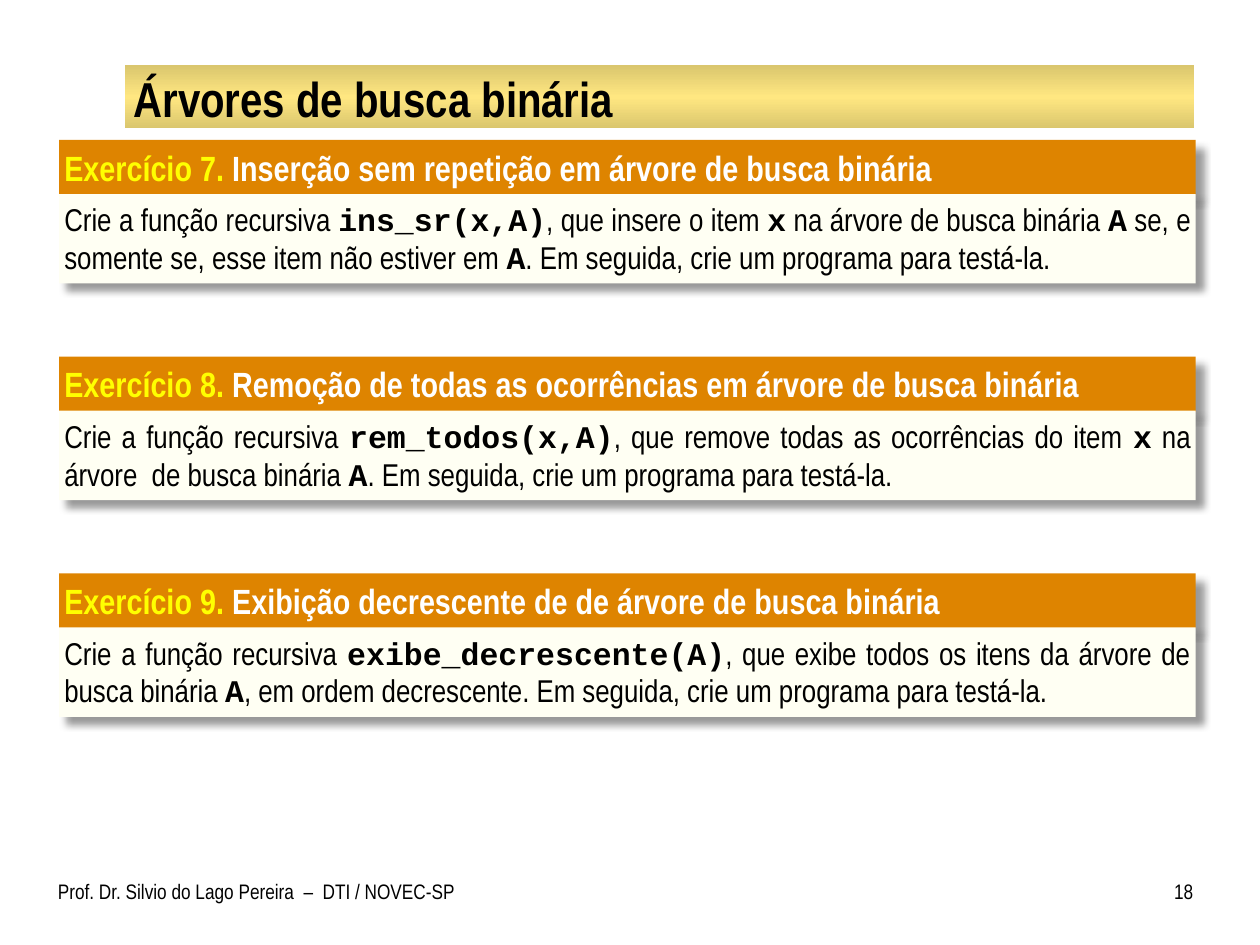
from copy import deepcopy

from lxml import etree
from pptx import Presentation
from pptx.dml.color import RGBColor
from pptx.enum.shapes import MSO_SHAPE
from pptx.enum.text import MSO_ANCHOR, MSO_AUTO_SIZE, PP_ALIGN
from pptx.oxml.ns import qn
from pptx.util import Inches, Pt

RECTANGLE = MSO_SHAPE.RECTANGLE
MIDDLE, TOP = MSO_ANCHOR.MIDDLE, MSO_ANCHOR.TOP
LEFT, RIGHT, JUSTIFY = PP_ALIGN.LEFT, PP_ALIGN.RIGHT, PP_ALIGN.JUSTIFY
GROW, FIXED = MSO_AUTO_SIZE.SHAPE_TO_FIT_TEXT, MSO_AUTO_SIZE.NONE
TITLE_ONLY = 5

COLORS = {
    "black": "000000",
    "white": "FFFFFF",
    "label": "FFFF00",
    "heading": "DE8400",
    "statement": "FFFFF3",
    "bar_edge": "DAC66E",
    "bar_middle": "FFE781",
}
TEXT_FONT, CODE_FONT = "Arial Narrow", "Courier New"

# Code is set between backticks.
EXERCISES = [
    ("Exercício 7.", " Inserção sem repetição em árvore de busca binária",
     "Crie a função recursiva `ins_sr(x,A)`, que insere o item `x` na árvore de "
     "busca binária `A` se, e somente se, esse item não estiver em `A`. "
     "Em seguida, crie um programa para testá-la."),
    ("Exercício 8.", " Remoção de todas as ocorrências em árvore de busca binária",
     "Crie a função recursiva `rem_todos(x,A)`, que remove todas as ocorrências "
     "do item `x` na árvore  de busca binária `A`. "
     "Em seguida, crie um programa para testá-la."),
    ("Exercício 9.", " Exibição decrescente de de árvore de busca binária",
     "Crie a função recursiva `exibe_decrescente(A)`, que exibe todos os itens da "
     "árvore de busca binária `A`, em ordem decrescente. "
     "Em seguida, crie um programa para testá-la."),
]
EXERCISE_LEFT, EXERCISE_TOP, EXERCISE_WIDTH = 0.47, 1.11, 9.02
EXERCISE_PITCH = 1.72
HEADING_HEIGHT, STATEMENT_HEIGHT = 0.44, 0.71


def rgb(name):
    """Return the named colour."""
    return RGBColor.from_string(COLORS[name])


def add_run(paragraph, text, size, color="black", font=TEXT_FONT, bold=False):
    """Append one formatted run to a paragraph."""
    run = paragraph.add_run()
    run.text = text
    run.font.name = font
    run.font.size = Pt(size)
    run.font.bold = bold
    run.font.color.rgb = rgb(color)


def prepare_text(shape, margins, align=LEFT, anchor=TOP, auto_size=FIXED):
    """Set up the text frame of a shape and return its first paragraph."""
    frame = shape.text_frame
    frame.word_wrap = True
    frame.auto_size = auto_size
    frame.vertical_anchor = anchor
    (frame.margin_left, frame.margin_top,
     frame.margin_right, frame.margin_bottom) = map(Inches, margins)
    paragraph = frame.paragraphs[0]
    paragraph.alignment = align
    return paragraph


def add_shadow(shape):
    """Give a shape a soft shadow towards the lower right."""
    shape.shadow.inherit = False
    effects = shape.element.spPr.find(qn("a:effectLst"))
    shadow = etree.SubElement(effects, qn("a:outerShdw"), blurRad=str(Pt(4)),
                              dist=str(Pt(6)), dir="2700000", algn="tl",
                              rotWithShape="0")
    color = etree.SubElement(shadow, qn("a:srgbClr"), val=COLORS["black"])
    etree.SubElement(color, qn("a:alpha"), val="40000")


def add_panel(shapes, box, color):
    """Add a plain filled rectangle with a shadow."""
    panel = shapes.add_shape(RECTANGLE, *map(Inches, box))
    panel.fill.solid()
    panel.fill.fore_color.rgb = rgb(color)
    panel.line.fill.background()
    add_shadow(panel)
    return panel


def add_title(slide, text, left, top, width, height):
    """Place the title on its golden gradient bar."""
    bar = slide.shapes.add_shape(RECTANGLE, *map(Inches, (left, top, width, height)))
    bar.shadow.inherit = False
    bar.line.fill.background()
    bar.fill.gradient()
    bar.fill.gradient_angle = 270
    stop_list = bar.element.spPr.find(qn("a:gradFill")).find(qn("a:gsLst"))
    stop_list.append(deepcopy(stop_list[0]))
    stops = zip(bar.fill.gradient_stops, (0, 0.5, 1),
                ("bar_edge", "bar_middle", "bar_edge"))
    for stop, position, color in stops:
        stop.position = position
        stop.color.rgb = rgb(color)

    title = slide.shapes.title
    title.element.addprevious(bar.element)
    title.left, title.top = Inches(left + 0.01), Inches(top + 0.02)
    title.width, title.height = Inches(width - 0.02), Inches(height - 0.03)
    paragraph = prepare_text(title, (0.06, 0.01, 0.06, 0.01), anchor=MIDDLE)
    add_run(paragraph, text, 28, bold=True)


def add_exercise(slide, exercise, left, top, width):
    """Add a grouped heading and statement for one exercise."""
    label, name, statement = exercise
    shapes = slide.shapes.add_group_shape().shapes
    heading = add_panel(shapes, (left, top, width, HEADING_HEIGHT), "heading")
    paragraph = prepare_text(heading, (0.04, 0.05, 0.1, 0.05), auto_size=GROW)
    add_run(paragraph, label, 20, color="label", bold=True)
    add_run(paragraph, name, 20, color="white", bold=True)

    body_top = top + HEADING_HEIGHT - 0.01
    body = add_panel(shapes, (left, body_top, width, STATEMENT_HEIGHT), "statement")
    paragraph = prepare_text(body, (0.04, 0.05, 0.04, 0.05), align=JUSTIFY,
                             auto_size=GROW)
    paragraph.space_before = Pt(6)
    for index, part in enumerate(statement.split("`")):
        is_code = index % 2 == 1
        add_run(paragraph, part, 18, bold=is_code,
                font=CODE_FONT if is_code else TEXT_FONT)


def add_footer(slide, author, number, left, top, right):
    """Add the author on the left and the page number on the right."""
    height, number_width = 0.42, 0.39
    for text, x, width, margins, align in (
        (author, left, 3.27, (0, 0.05, 0.1, 0.05), LEFT),
        (number, right - number_width, number_width, (0.1, 0.05, 0, 0.05), RIGHT),
    ):
        box = slide.shapes.add_textbox(*map(Inches, (x, top, width, height)))
        add_run(prepare_text(box, margins, align=align), text, 12)


def main():
    """Build and save the presentation."""
    presentation = Presentation()
    presentation.slide_width, presentation.slide_height = Inches(10), Inches(7.5)
    slide = presentation.slides.add_slide(presentation.slide_layouts[TITLE_ONLY])
    add_title(slide, "Árvores de busca binária", 0.99, 0.52, 8.49, 0.5)
    for index, exercise in enumerate(EXERCISES):
        add_exercise(slide, exercise, EXERCISE_LEFT,
                     EXERCISE_TOP + index * EXERCISE_PITCH, EXERCISE_WIDTH)
    add_footer(slide, "Prof. Dr. Silvio do Lago Pereira  –  DTI / NOVEC-SP", "18",
               0.46, 6.92, 9.47)
    presentation.save("out.pptx")


main()
